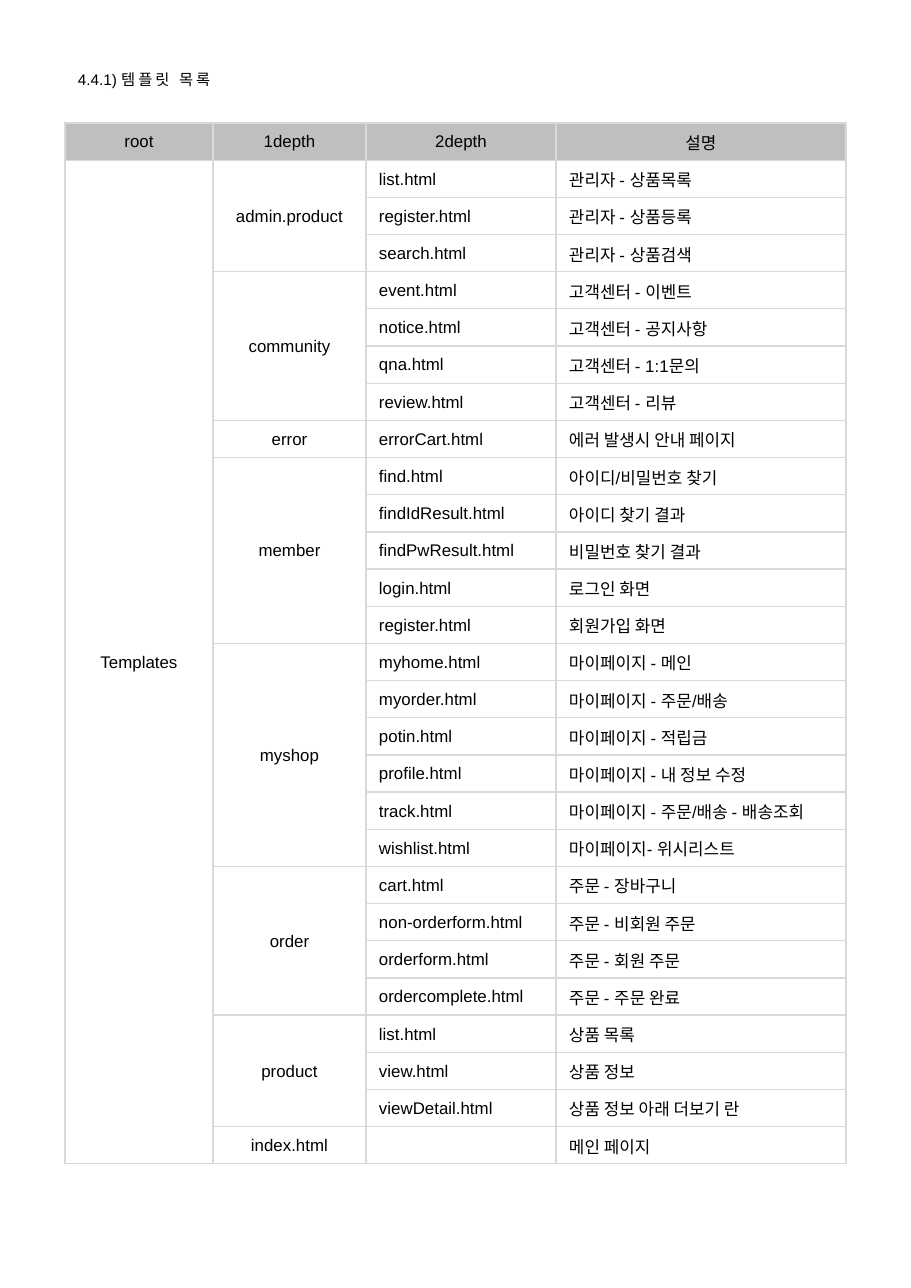
from lxml.etree import SubElement
from pptx import Presentation
from pptx.dml.color import RGBColor
from pptx.enum.text import MSO_ANCHOR as Anchor, PP_ALIGN as Align
from pptx.oxml.ns import qn
from pptx.util import Pt

EMU_PER_PX = 8290
SLIDE_SIZE = 911, 1288
FONT, INK, HEADER_FILL, BORDER = "Arial", "000000", "BFBFBF", "D9D9D9"

TITLE_BOX = 78, 71, 155, 17
TITLE_NUMBER, TITLE_TEXT = "4.4.1) ", "템플릿 목록"

TABLE_LEFT, TABLE_TOP, TABLE_HEIGHT = 65, 123, 1042
COLUMN_WIDTHS = 148, 153, 190, 290
CELL_MARGIN = 13

HEADERS = "root", "1depth", "2depth", "설명"
ROOT = "Templates"
FOLDERS = [
    ("admin.product", [
        ("list.html", "관리자 - 상품목록"),
        ("register.html", "관리자 - 상품등록"),
        ("search.html", "관리자 - 상품검색"),
    ]),
    ("community", [
        ("event.html", "고객센터 - 이벤트"),
        ("notice.html", "고객센터 - 공지사항"),
        ("qna.html", "고객센터 - 1:1문의"),
        ("review.html", "고객센터 - 리뷰"),
    ]),
    ("error", [
        ("errorCart.html", "에러 발생시 안내 페이지"),
    ]),
    ("member", [
        ("find.html", "아이디/비밀번호 찾기"),
        ("findIdResult.html", "아이디 찾기 결과"),
        ("findPwResult.html", "비밀번호 찾기 결과"),
        ("login.html", "로그인 화면"),
        ("register.html", "회원가입 화면"),
    ]),
    ("myshop", [
        ("myhome.html", "마이페이지 - 메인"),
        ("myorder.html", "마이페이지 - 주문/배송"),
        ("potin.html", "마이페이지 - 적립금"),
        ("profile.html", "마이페이지 - 내 정보 수정"),
        ("track.html", "마이페이지 - 주문/배송 - 배송조회"),
        ("wishlist.html", "마이페이지- 위시리스트"),
    ]),
    ("order", [
        ("cart.html", "주문 - 장바구니"),
        ("non-orderform.html", "주문 - 비회원 주문"),
        ("orderform.html", "주문 - 회원 주문"),
        ("ordercomplete.html", "주문 - 주문 완료"),
    ]),
    ("product", [
        ("list.html", "상품 목록"),
        ("view.html", "상품 정보"),
        ("viewDetail.html", "상품 정보 아래 더보기 란"),
    ]),
    ("index.html", [
        ("", "메인 페이지"),
    ]),
]


def px(*lengths):
    return [length * EMU_PER_PX for length in lengths]


def color(hex_string):
    return RGBColor.from_string(hex_string)


def set_font(paragraph, size):
    font = paragraph.font
    font.name, font.size = FONT, Pt(size)
    font.color.rgb = color(INK)


def add_title(slide):
    frame = slide.shapes.add_textbox(*px(*TITLE_BOX)).text_frame
    frame.margin_left = frame.margin_right = frame.margin_top = frame.margin_bottom = 0
    paragraph = frame.paragraphs[0]
    paragraph.line_spacing = Pt(11.4)
    set_font(paragraph, 10)
    paragraph.add_run().text = TITLE_NUMBER
    heading = paragraph.add_run()
    heading.text = TITLE_TEXT
    heading.font._element.set("spc", "200")


def add_borders(cell):
    properties = cell._tc.get_or_add_tcPr()
    for side in ("lnL", "lnR", "lnT", "lnB"):
        line = SubElement(properties, qn(f"a:{side}"), w=str(Pt(1)))
        fill = SubElement(line, qn("a:solidFill"))
        SubElement(fill, qn("a:srgbClr"), val=BORDER)


def style_cell(cell, is_header):
    add_borders(cell)
    if is_header:
        cell.fill.solid()
        cell.fill.fore_color.rgb = color(HEADER_FILL)
    else:
        cell.fill.background()
    cell.vertical_anchor = Anchor.MIDDLE
    cell.margin_left, cell.margin_right, cell.margin_top, cell.margin_bottom = px(
        CELL_MARGIN, CELL_MARGIN, 1, 0)


def write_cell(cell, text, align):
    paragraph = cell.text_frame.paragraphs[0]
    paragraph.alignment = align
    set_font(paragraph, 11)
    if text:
        paragraph.add_run().text = text


def add_template_table(slide):
    row_count = 1 + sum(len(files) for _, files in FOLDERS)
    left, top, width, height = px(TABLE_LEFT, TABLE_TOP, sum(COLUMN_WIDTHS), TABLE_HEIGHT)
    table = slide.shapes.add_table(row_count, len(HEADERS), left, top, width, height).table
    table.first_row = table.horz_banding = False
    for column, column_width in zip(table.columns, px(*COLUMN_WIDTHS)):
        column.width = column_width
    for index, row in enumerate(table.rows):
        row.height = height // row_count
        for cell in row.cells:
            style_cell(cell, is_header=index == 0)
            set_font(cell.text_frame.paragraphs[0], 11)

    for column, header in enumerate(HEADERS):
        write_cell(table.cell(0, column), header, Align.CENTER)
    table.cell(1, 0).merge(table.cell(row_count - 1, 0))
    write_cell(table.cell(1, 0), ROOT, Align.CENTER)

    first = 1
    for folder, files in FOLDERS:
        if len(files) > 1:
            table.cell(first, 1).merge(table.cell(first + len(files) - 1, 1))
        write_cell(table.cell(first, 1), folder, Align.CENTER)
        for row, (file_name, description) in enumerate(files, first):
            write_cell(table.cell(row, 2), file_name, Align.LEFT)
            write_cell(table.cell(row, 3), description, Align.LEFT)
        first += len(files)


def main():
    presentation = Presentation()
    presentation.slide_width, presentation.slide_height = px(*SLIDE_SIZE)
    slide = presentation.slides.add_slide(presentation.slide_layouts[6])
    add_title(slide)
    add_template_table(slide)
    presentation.save("out.pptx")


if __name__ == "__main__":
    main()
